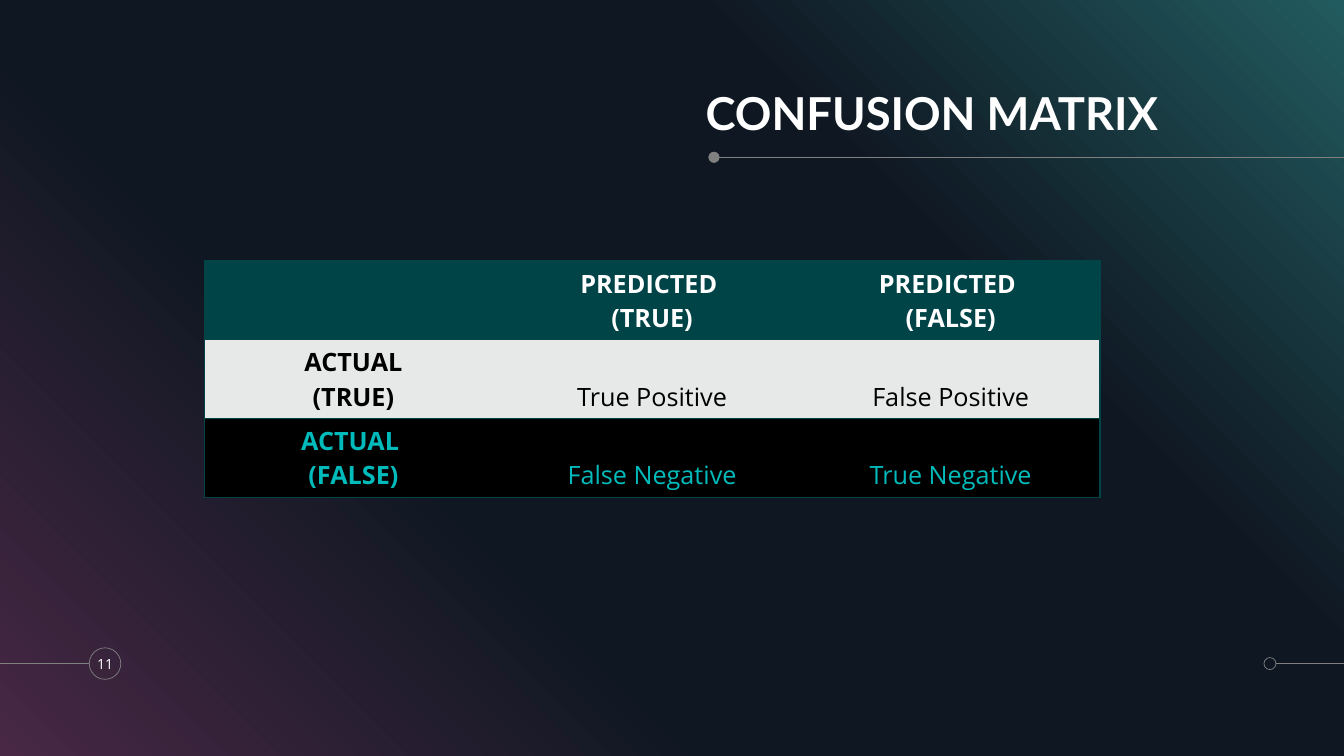
from lxml import etree
from pptx import Presentation
from pptx.dml.color import RGBColor
from pptx.enum.shapes import MSO_CONNECTOR, MSO_SHAPE
from pptx.enum.text import MSO_ANCHOR, PP_ALIGN
from pptx.oxml import parse_xml
from pptx.oxml.ns import nsdecls, qn
from pptx.util import Pt

SLIDE_W, SLIDE_H = 960, 540
GRAY, WHITE, BLACK = "808080", "FFFFFF", "000000"
TEAL, PALE, CYAN = "004448", "E7E9E9", "00BBBB"


def rgb(hex_color):
    return RGBColor.from_string(hex_color)


def write(frame, text, size, color, font="Open Sans", bold=False,
          align=PP_ALIGN.CENTER, anchor=MSO_ANCHOR.MIDDLE, spacing=None):
    """Fill a text frame, one paragraph per line of text."""
    frame.word_wrap = True
    frame.vertical_anchor = anchor
    for index, line in enumerate(text.split("\n")):
        paragraph = frame.paragraphs[0] if index == 0 else frame.add_paragraph()
        paragraph.alignment = align
        if spacing:
            paragraph.line_spacing = spacing
        run = paragraph.add_run()
        run.text = line
        run.font.name, run.font.size, run.font.bold = font, Pt(size), bold
        run.font.color.rgb = rgb(color)


def no_margins(frame):
    frame.margin_left = frame.margin_right = 0
    frame.margin_top = frame.margin_bottom = 0


def add_rule(slide, x1, x2, y):
    rule = slide.shapes.add_connector(
        MSO_CONNECTOR.STRAIGHT, Pt(x1), Pt(y), Pt(x2), Pt(y))
    rule.line.color.rgb = rgb(GRAY)
    rule.line.width = Pt(0.5)
    etree.SubElement(rule._element.spPr, qn("a:effectLst"))


def add_circle(slide, left, center_y, diameter, filled=False):
    circle = slide.shapes.add_shape(
        MSO_SHAPE.OVAL, Pt(left), Pt(center_y - diameter / 2),
        Pt(diameter), Pt(diameter))
    circle.shadow.inherit = False
    if filled:
        circle.fill.solid()
        circle.fill.fore_color.rgb = rgb(GRAY)
        circle.line.fill.background()
    else:
        circle.fill.background()
        circle.line.color.rgb = rgb(GRAY)
        circle.line.width = Pt(0.5)
    return circle


def paint_background(slide, stops):
    fill = slide.background.fill
    fill.gradient()
    fill.gradient_angle = 45
    stop_list = slide._element.find(".//" + qn("a:gsLst"))
    for stop in list(stop_list):
        stop_list.remove(stop)
    for position, color in stops:
        stop = etree.SubElement(stop_list, qn("a:gs"), pos=str(position * 1000))
        etree.SubElement(stop, qn("a:srgbClr"), val=color)
    stop_list.getparent().find(qn("a:lin")).set("scaled", "0")


def add_heading(slide, left, top, width, height, text):
    title = slide.shapes.title
    title.left, title.top = Pt(left), Pt(top)
    title.width, title.height = Pt(width), Pt(height)
    no_margins(title.text_frame)
    write(title.text_frame, text, 32.4, WHITE, font="Lato", bold=True,
          align=PP_ALIGN.LEFT, anchor=MSO_ANCHOR.BOTTOM, spacing=0.9)
    # Underline running off to the slide edge
    rule_y = top + height + 12.4
    add_rule(slide, left + 8.5, SLIDE_W, rule_y)
    add_circle(slide, left + 2, rule_y, 8, filled=True)


def add_footer(slide, center_y, number):
    # Page number on the left
    add_rule(slide, 0, 63.5, center_y)
    badge = add_circle(slide, 63.8, center_y, 22.5)
    no_margins(badge.text_frame)
    write(badge.text_frame, number, 10, WHITE)
    badge.text_frame.word_wrap = False
    # Ornament on the right
    add_circle(slide, 902.8, center_y, 8.6)
    add_rule(slide, 911.5, SLIDE_W, center_y)


def set_borders(cell, colors):
    """Border each side named in colors; None hides that side."""
    properties = cell._tc.get_or_add_tcPr()
    for side, color in colors.items():
        paint = (f'<a:solidFill><a:srgbClr val="{color}"/></a:solidFill>'
                 if color else "<a:noFill/>")
        properties.append(parse_xml(
            f'<a:ln{side} {nsdecls("a")} w="12700">{paint}</a:ln{side}>'))


def add_matrix(slide, left, top, width, height, rows):
    row_count, column_count = len(rows), len(rows[0][2])
    matrix = slide.shapes.add_table(row_count, column_count, Pt(left), Pt(top),
                                    Pt(width), Pt(height)).table
    for column in matrix.columns:
        column.width = Pt(width / column_count)
    for r, (fill, color, texts) in enumerate(rows):
        matrix.rows[r].height = Pt(height / row_count)
        for c, text in enumerate(texts):
            cell = matrix.cell(r, c)
            set_borders(cell, {"L": TEAL if c == 0 else None,
                               "R": TEAL if c == column_count - 1 else None,
                               "T": TEAL, "B": TEAL})
            cell.fill.solid()
            cell.fill.fore_color.rgb = rgb(fill)
            cell.vertical_anchor = MSO_ANCHOR.BOTTOM
            if text:
                write(cell.text_frame, text, 18, color, bold=r == 0 or c == 0,
                      anchor=None)


deck = Presentation()
deck.slide_width, deck.slide_height = Pt(SLIDE_W), Pt(SLIDE_H)
slide = deck.slides.add_slide(deck.slide_layouts[5])

paint_background(slide, [(0, "482845"), (34, "0F1722"),
                         (69, "0F1722"), (100, "225B5F")])
add_heading(slide, 504, 55.4, 353.5, 44.6, "CONFUSION MATRIX")
add_matrix(slide, 145.8, 186.5, 640, 167, [
    (TEAL, WHITE, ["", "PREDICTED \n(TRUE)", "PREDICTED \n(FALSE)"]),
    (PALE, BLACK, ["ACTUAL\n(TRUE)", "True Positive", "False Positive"]),
    (BLACK, CYAN, ["ACTUAL \n(FALSE)", "False Negative", "True Negative"]),
])
add_footer(slide, 474, "11")

deck.save("out.pptx")
